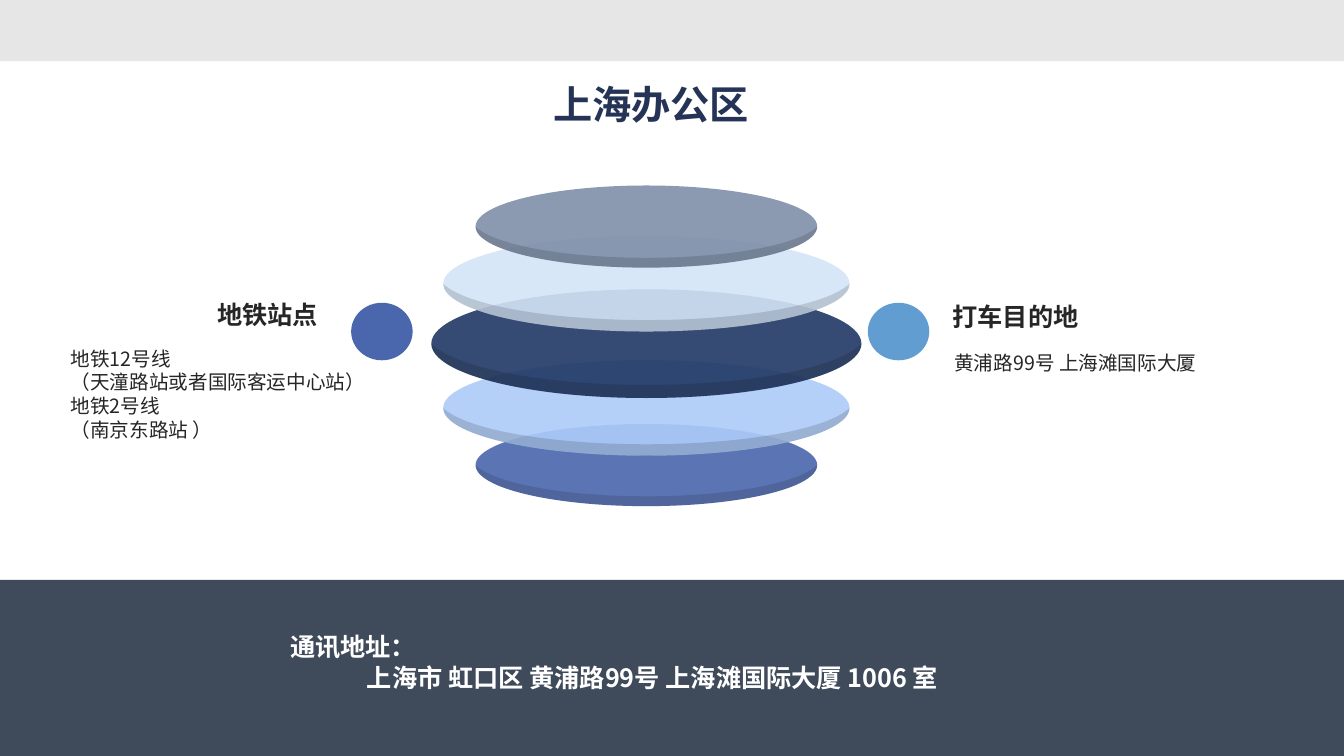
from dataclasses import dataclass

from lxml.etree import SubElement
from pptx import Presentation
from pptx.dml.color import RGBColor
from pptx.enum.shapes import MSO_SHAPE as Preset
from pptx.enum.text import MSO_ANCHOR as Anchor, PP_ALIGN as Align
from pptx.oxml.ns import qn
from pptx.util import Cm, Pt


@dataclass(frozen=True)
class Theme:
    """Colours, font and type sizes of the slide."""
    font: str = "Noto Sans CJK SC"
    top_band: str = "E7E6E6"
    bottom_band: str = "333F50"
    title: str = "253356"
    ink: str = "262626"
    white: str = "FFFFFF"
    rim: str = "0D0D0D"
    metro: str = "4A66AC"
    taxi: str = "629DD1"
    pale_blue: str = "ACCBF9"
    navy: str = "203864"
    ice: str = "D4E5F7"
    slate: str = "7F8FA9"
    title_size: int = 28
    heading_size: int = 18
    body_size: int = 14
    line_ratio: float = 1.21


THEME = Theme()
HEADING = {"size": Pt(THEME.heading_size), "bold": True}
BODY = {"size": Pt(THEME.body_size), "bold": False}
STACK_CENTRE = 16.29
RIM_START = (-1, 0)
RIM_CURVES = (
    (-0.89, 0.45), (-0.48, 0.76), (0, 0.76),
    (0.48, 0.76), (0.89, 0.45), (1, 0),
    (1, 0.55), (0.55, 1), (0, 1),
    (-0.55, 1), (-1, 0.55), RIM_START,
)


def paint(shape, color, opacity=100):
    """Give a shape a flat fill without line or shadow."""
    shape.shadow.inherit = False
    shape.line.fill.background()
    shape.fill.solid()
    shape.fill.fore_color.rgb = RGBColor.from_string(color)
    if opacity < 100:
        color_node = shape.fill._xPr.find(".//" + qn("a:srgbClr"))
        SubElement(color_node, qn("a:alpha"), val=str(opacity * 1000))


def add_flat(slide, preset, box, color, opacity=100):
    """Add a flat preset shape in a box given in centimetres."""
    paint(slide.shapes.add_shape(preset, *map(Cm, box)), color, opacity)


def curve_outline(shape):
    """Turn every three straight segments of an outline into one cubic curve."""
    segments = list(shape._element.iter(qn("a:lnTo")))
    for first in range(0, len(segments), 3):
        curve, *rest = segments[first:first + 3]
        replacement = curve.makeelement(qn("a:cubicBezTo"))
        curve.addprevious(replacement)
        for segment in (curve, *rest):
            replacement.append(segment[0])
            segment.getparent().remove(segment)


def add_disc(slide, middle, width, height, color):
    """Add a translucent disc with a darker crescent along its lower edge."""
    box = (STACK_CENTRE - width / 2, middle - height / 2, width, height)
    add_flat(slide, Preset.OVAL, box, color, 90)
    start, *controls = [(Cm(STACK_CENTRE + x * width / 2), Cm(middle + y * height / 2))
                        for x, y in (RIM_START, *RIM_CURVES)]
    builder = slide.shapes.build_freeform(*start)
    builder.add_line_segments(controls, close=True)
    rim = builder.convert_to_shape()
    curve_outline(rim)
    paint(rim, THEME.rim, 15)


def write(frame, lines, style, color, frame_format):
    """Write aligned lines into a text frame with one type style."""
    for name, value in frame_format.items():
        setattr(frame, name, value)
    for index, (text, alignment) in enumerate(lines):
        paragraph = frame.add_paragraph() if index else frame.paragraphs[0]
        paragraph.alignment = alignment
        paragraph.space_before = Pt(0)
        paragraph.line_spacing = Pt(style["size"].pt * THEME.line_ratio)
        run = paragraph.add_run()
        run.text = text
        for name, value in {**style, "name": THEME.font}.items():
            setattr(run.font, name, value)
        run.font.color.rgb = RGBColor.from_string(color)
        SubElement(run.font._rPr, qn("a:ea"), typeface=THEME.font)


def add_label(slide, box, lines, style, anchor=Anchor.TOP, wrap=True):
    """Add a dark text box without insets."""
    frame = slide.shapes.add_textbox(*map(Cm, box)).text_frame
    margins = {f"margin_{side}": 0 for side in ("left", "top", "right", "bottom")}
    write(frame, lines, style, THEME.ink,
          {**margins, "word_wrap": wrap, "vertical_anchor": anchor})


def add_title(slide):
    """Place and format the title placeholder."""
    title = slide.shapes.title
    places = {"left": 13.69, "top": 1.89, "width": 5.51, "height": 1.45}
    for name, value in places.items():
        setattr(title, name, Cm(value))
    write(title.text_frame, [("上海办公区", Align.LEFT)],
          {"size": Pt(THEME.title_size), "bold": True}, THEME.title,
          {"word_wrap": False, "vertical_anchor": Anchor.TOP})


def add_postal_address(slide):
    """Add the bottom band with the postal address."""
    add_flat(slide, Preset.RECTANGLE, (0, 14.61, 33.87, 4.44), THEME.bottom_band, 94)
    address = slide.shapes.add_textbox(Cm(7.06), Cm(15.78), Cm(18.77), Cm(1.8))
    write(address.text_frame,
          [("通讯地址：", Align.LEFT),
           ("上海市 虹口区 黄浦路99号 上海滩国际大厦 1006 室", Align.CENTER)],
          HEADING, THEME.white, {"word_wrap": True})


def main():
    """Build the office location slide and save it."""
    deck = Presentation()
    deck.slide_width, deck.slide_height = Cm(33.87), Cm(19.05)
    slide = deck.slides.add_slide(deck.slide_layouts[5])
    add_flat(slide, Preset.RECTANGLE, (0, 0, 33.87, 1.54), THEME.top_band)
    add_title(slide)

    small, medium, large = (8.61, 2.07), (10.24, 2.41), (10.84, 2.74)
    for middle, size, color in (
        (11.72, small, THEME.metro),
        (10.28, medium, THEME.pale_blue),
        (8.66, large, THEME.navy),
        (7.15, medium, THEME.ice),
        (5.71, small, THEME.slate),
    ):
        add_disc(slide, middle, *size, color)

    for left, color in ((8.85, THEME.metro), (21.87, THEME.taxi)):
        add_flat(slide, Preset.OVAL, (left, 7.63, 1.55, 1.45), color)

    metro_lines = ("地铁12号线", "（天潼路站或者国际客运中心站）",
                   "地铁2号线", "（南京东路站 ）")
    add_label(slide, (4.17, 7.54, 3.84, 0.76), [("地铁站点", Align.RIGHT)],
              HEADING, Anchor.MIDDLE)
    add_label(slide, (1.78, 8.73, 9.8, 2.39),
              [(line, Align.JUSTIFY) for line in metro_lines], BODY)
    add_label(slide, (23.98, 7.59, 3.2, 0.76), [("打车目的地", Align.RIGHT)],
              HEADING, Anchor.MIDDLE, wrap=False)
    add_label(slide, (24.05, 8.83, 6.24, 0.61),
              [("黄浦路99号 上海滩国际大厦 ", Align.JUSTIFY)], BODY)
    add_postal_address(slide)
    deck.save("out.pptx")


if __name__ == "__main__":
    main()
